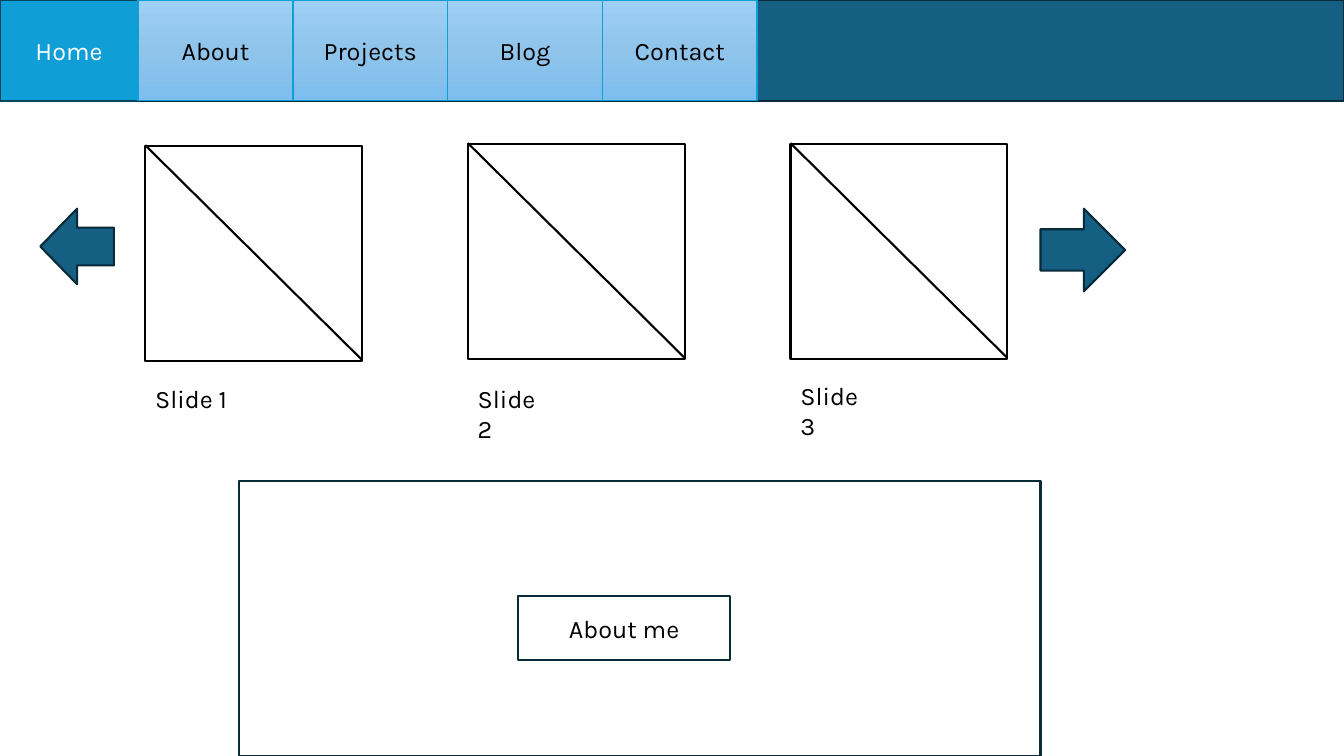
from copy import deepcopy

from pptx import Presentation, util as u
from pptx.dml import color
from pptx.enum import shapes, text
from pptx.oxml import ns, xmlchemy

FONT = "Karla"
NAVY, NAVY_EDGE = "156082", "092A39"
BLUE, BLUE_EDGE = "0F9ED5", "07455D"
WHITE, BLACK = "FFFFFF", "000000"
TAB_GRADIENT = ["9ECFF5", "90C4EB", "7CBEED"]
WIDTH, HEIGHT = 13.33, 7.5


def rgb(hex_code):
    return color.RGBColor.from_string(hex_code)


def write(target, wording, ink, align):
    frame = target.text_frame
    frame.word_wrap = True
    frame.text = wording
    paragraph = frame.paragraphs[0]
    paragraph.alignment = align
    font = paragraph.runs[0].font
    font.name, font.size, font.color.rgb = FONT, u.Pt(18), rgb(ink)


def fill_gradient(shape, hex_codes):
    shape.fill.gradient()
    shape.fill.gradient_angle = 270
    stops = shape.element.spPr.find(".//" + ns.qn("a:gsLst"))
    stops.insert(1, deepcopy(stops[0]))
    for i, (stop, code) in enumerate(zip(shape.fill.gradient_stops, hex_codes)):
        stop.position = i / (len(hex_codes) - 1)
        stop.color.rgb = rgb(code)


def block(parent, box, fill, edge, wording="", ink=BLACK, weight=1.5,
          kind=shapes.MSO_SHAPE.RECTANGLE):
    shape = parent.add_shape(kind, *map(u.Inches, box))
    shape.shadow.inherit = False
    if isinstance(fill, list):
        fill_gradient(shape, fill)
    else:
        shape.fill.solid()
        shape.fill.fore_color.rgb = rgb(fill)
    shape.line.color.rgb = rgb(edge)
    shape.line.width = u.Pt(weight)
    if wording:
        shape.text_frame.vertical_anchor = text.MSO_ANCHOR.MIDDLE
        write(shape, wording, ink, text.PP_ALIGN.CENTER)
    return shape


def navigation(parent, left, top, width, height):
    home_width, tab_width = 1.37, 1.535
    block(parent, (left, top, width, height), NAVY, NAVY_EDGE)
    block(parent, (left, top, home_width, height), BLUE, BLUE_EDGE, "Home", WHITE)
    for i, tab in enumerate(["About", "Projects", "Blog", "Contact"]):
        tab_left = left + home_width + i * tab_width
        block(parent, (tab_left, top, tab_width, height), TAB_GRADIENT, BLUE,
              tab, weight=1)


def picture_frame(parent, left, top, width, height):
    group = parent.add_group_shape().shapes
    block(group, (left, top + 0.01, width, height), WHITE, BLACK)
    diagonal = group.add_connector(
        shapes.MSO_CONNECTOR.STRAIGHT,
        *map(u.Inches, (left, top, left + width, top + height)))
    diagonal.line.color.rgb = rgb(BLACK)
    diagonal.line.width = u.Pt(1.5)
    diagonal.element.spPr.append(xmlchemy.OxmlElement("a:effectLst"))


def carousel(parent, left, top, pitch):
    # Each frame and its caption: vertical offsets from the carousel's top
    offsets = [(0.02, 2.33), (0, 2.33), (0, 2.3)]
    for i, (frame_drop, caption_drop) in enumerate(offsets):
        x = left + i * pitch
        picture_frame(parent, x, top + frame_drop, 2.15, 2.13)
        caption = parent.add_textbox(
            *map(u.Inches, (x, top + caption_drop, 0.93, 0.4)))
        write(caption, f"Slide {i + 1}", BLACK, text.PP_ALIGN.LEFT)
    # Previous and next arrows
    arrow_top = top + 0.65
    block(parent, (left - 1.04, arrow_top, 0.73, 0.75), NAVY, NAVY_EDGE,
          kind=shapes.MSO_SHAPE.LEFT_ARROW)
    block(parent, (left + 8.88, arrow_top, 0.84, 0.82), NAVY, NAVY_EDGE,
          kind=shapes.MSO_SHAPE.RIGHT_ARROW)


def about_panel(parent, left, top, width, height):
    block(parent, (left, top, width, height), WHITE, NAVY_EDGE)
    block(parent, (left + 2.77, top + 1.14, 2.1, 0.64), WHITE, NAVY_EDGE, "About me")


def main():
    deck = Presentation()
    deck.slide_width, deck.slide_height = u.Inches(WIDTH), u.Inches(HEIGHT)
    page = deck.slides.add_slide(deck.slide_layouts[6]).shapes
    navigation(page, 0, 0, WIDTH, 1)
    carousel(page, 1.44, 1.42, 3.2)
    about_panel(page, 2.37, 4.77, 7.95, HEIGHT - 4.77)
    deck.save("out.pptx")


if __name__ == "__main__":
    main()
